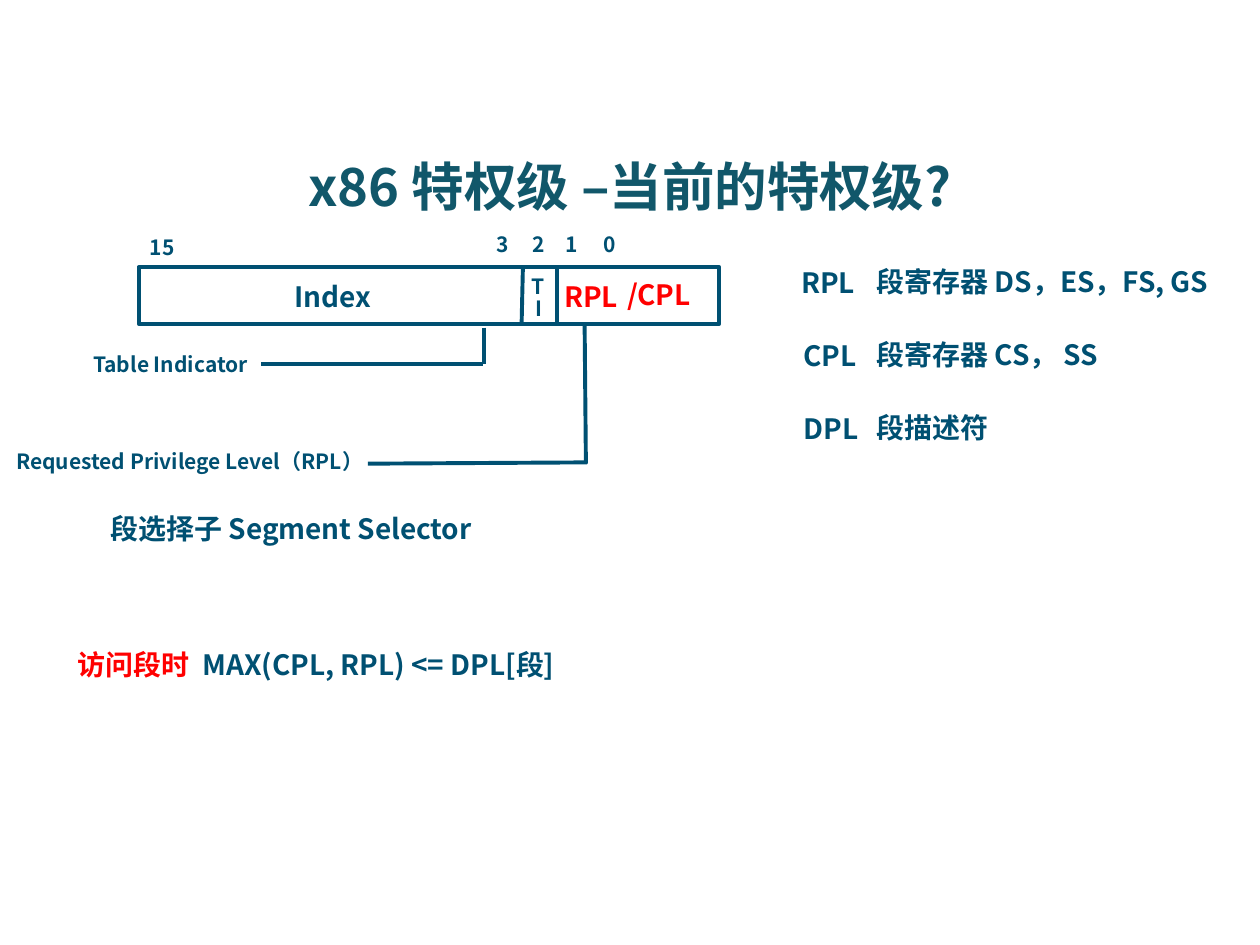
from lxml import etree
from pptx import Presentation
from pptx.dml.color import RGBColor
from pptx.enum.shapes import MSO_CONNECTOR, MSO_SHAPE
from pptx.enum.text import MSO_ANCHOR, PP_ALIGN
from pptx.oxml.ns import qn
from pptx.util import Inches, Pt

STRAIGHT = MSO_CONNECTOR.STRAIGHT
RECTANGLE = MSO_SHAPE.RECTANGLE
CENTER = PP_ALIGN.CENTER
TOP, MIDDLE = MSO_ANCHOR.TOP, MSO_ANCHOR.MIDDLE
TITLE_TEAL = RGBColor(0x11, 0x57, 0x6A)
NAVY = RGBColor(0x00, 0x50, 0x72)
RED = RGBColor(0xFF, 0x00, 0x00)
FONT = "Noto Sans CJK SC"
LINE_WIDTH = Pt(2.25)
SMALL, NORMAL = 12, 16

deck = Presentation()
deck.slide_width, deck.slide_height = Inches(10), Inches(7.5)
page = deck.slides.add_slide(deck.slide_layouts[5])
COLUMN = deck.slide_width / 100
ROW = deck.slide_height / 75


def grid(column, row):
    return round(column * COLUMN), round(row * ROW)


def write(box, text, size, color, anchor=TOP):
    frame = box.text_frame
    frame.word_wrap = True
    frame.vertical_anchor = anchor
    para = frame.paragraphs[0]
    span = para.add_run()
    span.text = text
    formats = {"name": FONT, "size": Pt(size), "bold": True}
    for name, value in formats.items():
        setattr(span.font, name, value)
    span.font.color.rgb = color
    east_asian = etree.SubElement(span.font._element, qn("a:ea"))
    east_asian.set("typeface", FONT)
    return para


title = page.shapes.title
title.left, title.top = grid(0, 11.7)
title.width, title.height = grid(100, 6.1)
write(title, "x86 特权级 –当前的特权级?", 30, TITLE_TEAL, MIDDLE).alignment = CENTER

register = page.shapes.add_shape(RECTANGLE, *grid(11, 21.2), *grid(46.1, 4.5))
register.shadow.inherit = False
register.fill.background()
register.line.color.rgb = NAVY
register.line.width = LINE_WIDTH

strokes = [
    ((41.5, 21.2), (41.4, 25.7)),
    ((44.2, 21.2), (44.2, 25.7)),
    ((38.4, 26), (38.4, 28.9)),
    ((38.3, 28.9), (20.7, 28.9)),
    ((46.4, 25.7), (46.5, 36.8)),
    ((46.6, 36.7), (29.2, 36.8)),
]
for start, end in strokes:
    stroke = page.shapes.add_connector(STRAIGHT, *grid(*start), *grid(*end))
    stroke.line.color.rgb = NAVY
    stroke.line.width = LINE_WIDTH
    etree.SubElement(stroke._element.spPr, qn("a:effectLst"))

labels = [
    ("Index", 22.4, 21.7, 13.9, NORMAL, NAVY),
    ("T", 41.2, 21.2, 3.2, SMALL, NAVY),
    ("I", 41.5, 23, 3.2, SMALL, NAVY),
    ("RPL", 43.8, 21.7, 7.1, NORMAL, RED),
    ("/CPL", 48.8, 21.5, 7.6, NORMAL, RED),
    ("Table Indicator", 6.4, 27.4, 17, SMALL, NAVY),
    ("Requested Privilege Level（RPL）", 0.3, 35.1, 54.7, SMALL, NAVY),
    ("段选择子 Segment Selector", 7.8, 40.1, 36.5, NORMAL, NAVY),
    ("访问段时", 5.2, 50.9, 12.1, NORMAL, RED),
    ("MAX(CPL, RPL) <= DPL[段]", 15.1, 50.9, 33.7, NORMAL, NAVY),
    ("15", 10.9, 18.1, 4.9, SMALL, NAVY),
]
for bit, column in zip("3210", (38.4, 41.3, 43.9, 46.9)):
    labels.append((bit, column, 17.9, 2.9, SMALL, NAVY))

levels = [
    ("RPL", 62.6, "段寄存器 DS，ES，FS, GS"),
    ("CPL", 62.8, "段寄存器 CS， SS"),
    ("DPL", 62.8, "段描述符"),
]
for index, (level, column, holder) in enumerate(levels):
    row = 20.5 + 5.8 * index
    labels.append((level, column, row + 0.1, 7.1, NORMAL, NAVY))
    labels.append((holder, 68.6, row, 29.6, NORMAL, NAVY))

for text, column, row, width, size, color in labels:
    height = 3.7 if size == NORMAL else 3
    box = page.shapes.add_textbox(*grid(column, row), *grid(width, height))
    write(box, text, size, color)

deck.save("out.pptx")
